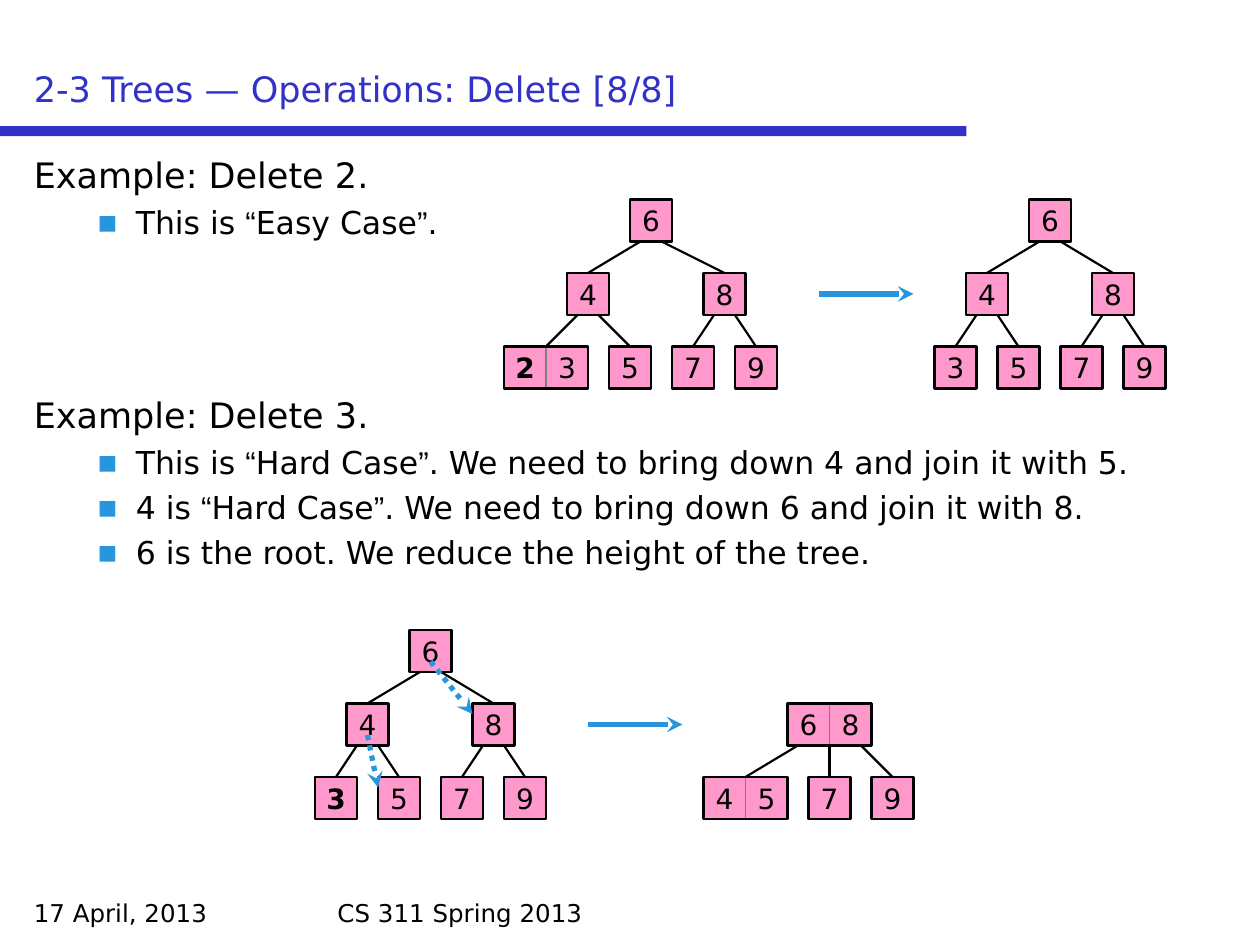
from lxml import etree
from pptx import Presentation
from pptx.dml.color import RGBColor
from pptx.enum.dml import MSO_LINE
from pptx.enum.shapes import MSO_CONNECTOR, MSO_SHAPE
from pptx.enum.text import MSO_ANCHOR, PP_ALIGN
from pptx.oxml.ns import qn
from pptx.util import Inches, Pt

RECT = MSO_SHAPE.RECTANGLE
LINE = MSO_CONNECTOR.STRAIGHT
DOTS = MSO_LINE.ROUND_DOT
LEFT, CENTER = PP_ALIGN.LEFT, PP_ALIGN.CENTER
TOP, MIDDLE, BOTTOM = MSO_ANCHOR.TOP, MSO_ANCHOR.MIDDLE, MSO_ANCHOR.BOTTOM

FONT, QUOTE = "DejaVu Sans", "Arial"
BLACK, GRAY, PINK = "000000", "808080", "FF99CC"
NAVY, BLUE = "3232C8", "2896DC"

# Tree drawings sit on a grid of twelfths of an inch.
GRID = 12
SIDE, GAP, DROP = 4, 2, 7


def color(code):
    return RGBColor.from_string(code)


def write(para, text, size=16, shade=BLACK, bold=False, align=LEFT):
    """Fill a paragraph, with curly quotes in their own font."""
    para.alignment = align
    parts = text.replace("“", "|“|").replace("”", "|”|").split("|")
    for part in filter(None, parts):
        run = para.add_run()
        run.text = part
        font = run.font
        font.name = QUOTE if part in "“”" else FONT
        font.size = Pt(size)
        font.bold = bold
        font.color.rgb = color(shade)


def add_text(slide, box, text, anchor=TOP, **form):
    frame = slide.shapes.add_textbox(*map(Inches, box)).text_frame
    frame.word_wrap = True
    frame.vertical_anchor = anchor
    write(frame.paragraphs[0], text, **form)
    return frame


def add_bullet(para):
    props = para._p.get_or_add_pPr()
    props.set("marL", str(Inches(0.81)))
    props.set("indent", str(Inches(-0.31)))
    tint = etree.SubElement(props, qn("a:buClr"))
    etree.SubElement(tint, qn("a:srgbClr")).set("val", BLUE)
    etree.SubElement(props, qn("a:buFont")).set("typeface", FONT)
    etree.SubElement(props, qn("a:buChar")).set("char", "▪")


def add_case(slide, box, head, points):
    frame = add_text(slide, box, head, size=20)
    for point in points:
        para = frame.add_paragraph()
        para.level = 1
        para.space_before = Pt(4.3)
        add_bullet(para)
        write(para, point, size=18)


def add_rect(slide, box, fill=None, line=None, width=1.25):
    shape = slide.shapes.add_shape(RECT, *map(Inches, box))
    shape.shadow.inherit = False
    if fill:
        shape.fill.solid()
        shape.fill.fore_color.rgb = color(fill)
    else:
        shape.fill.background()
    if line:
        shape.line.color.rgb = color(line)
        shape.line.width = Pt(width)
    else:
        shape.line.fill.background()
    return shape


def add_line(slide, start, end, shade=BLACK, width=1.25):
    """Join two grid points."""
    ends = [Inches(n / GRID) for n in (*start, *end)]
    link = slide.shapes.add_connector(LINE, *ends)
    link.line.color.rgb = color(shade)
    link.line.width = Pt(width)
    etree.SubElement(link._element.spPr, qn("a:effectLst"))
    return link


def add_arrow(slide, start, end, dash=None):
    link = add_line(slide, start, end, BLUE, 3)
    if dash:
        link.line.dash_style = dash
    tail = etree.SubElement(link.line._get_or_add_ln(), qn("a:tailEnd"))
    tail.set("type", "stealth")


def add_node(slide, x, y, keys, bold):
    """Draw one cell per key; several keys share a black frame."""
    many = len(keys) > 1
    edge = (GRAY, 0.75) if many else (BLACK, 1.25)
    for i, key in enumerate(keys):
        box = [n / GRID for n in (x + i * SIDE, y, SIDE, SIDE)]
        frame = add_rect(slide, box, PINK, *edge).text_frame
        frame.word_wrap = False
        frame.vertical_anchor = MIDDLE
        frame.margin_left = frame.margin_right = 0
        frame.margin_top = frame.margin_bottom = 0
        write(frame.paragraphs[0], key, bold=key == bold, align=CENTER)
    if many:
        box = [n / GRID for n in (x, y, SIDE * len(keys), SIDE)]
        add_rect(slide, box, line=BLACK)


def add_tree(slide, x, y, tree, bold=None):
    """Draw a (keys, *children) tree; return its center and right edge."""
    keys, *kids = tree
    wide = SIDE * len(keys)
    mids, right = [], x - GAP
    for kid in kids:
        mid, right = add_tree(slide, right + GAP, y + DROP, kid, bold)
        mids.append(mid)
    if kids:
        count = len(mids)
        center = (mids[(count - 1) // 2] + mids[count // 2]) // 2
    else:
        center, right = x + wide // 2, x + wide
    left = center - wide // 2
    for i, mid in enumerate(mids):
        start = left + 1 + i * (wide - 2) / (len(mids) - 1)
        add_line(slide, (start, y + SIDE), (mid, y + DROP))
    add_node(slide, left, y, keys, bold)
    return center, right


def add_easy(slide, x, y):
    right = ("8", ("7",), ("9",))
    add_tree(slide, x, y, ("6", ("4", ("23",), ("5",)), right), "2")
    add_arrow(slide, (x + 30, y + 9), (x + 39, y + 9))
    add_tree(slide, x + 41, y, ("6", ("4", ("3",), ("5",)), right))


def add_hard(slide, x, y):
    full = ("6", ("4", ("3",), ("5",)), ("8", ("7",), ("9",)))
    add_tree(slide, x, y, full, "3")
    add_arrow(slide, (x + 5, y + 10), (x + 6, y + 15), DOTS)
    add_arrow(slide, (x + 11, y + 3), (x + 15, y + 8), DOTS)
    add_arrow(slide, (x + 26, y + 9), (x + 35, y + 9))
    add_tree(slide, x + 37, y + DROP, ("68", ("45",), ("7",), ("9",)))


def add_frame(slide):
    """Add the title, its rule and the footer."""
    add_rect(slide, (0, 1, 7.67, 0.08), NAVY)
    add_text(slide, (0.17, 0.17, 9.67, 0.75),
             "2-3 Trees — Operations: Delete [8/8]",
             anchor=BOTTOM, size=20, shade=NAVY)
    add_text(slide, (0.17, 7.08, 2.33, 0.33), "17 April, 2013", size=14)
    add_text(slide, (2.58, 7.08, 4.83, 0.33), "CS 311 Spring 2013", size=14)


def main():
    deck = Presentation()
    deck.slide_width, deck.slide_height = Inches(10), Inches(7.5)
    slide = deck.slides.add_slide(deck.slide_layouts[6])
    add_frame(slide)
    add_case(slide, (0.17, 1.17, 9.67, 0.8), "Example: Delete 2.",
             ["This is “Easy Case”."])
    add_case(slide, (0.17, 3.07, 9.67, 1.6), "Example: Delete 3.", [
        "This is “Hard Case”. We need to bring down 4 and join it with 5.",
        "4 is “Hard Case”. We need to bring down 6 and join it with 8.",
        "6 is the root. We reduce the height of the tree.",
    ])
    add_easy(slide, 48, 19)
    add_hard(slide, 30, 60)
    deck.save("out.pptx")


if __name__ == "__main__":
    main()
